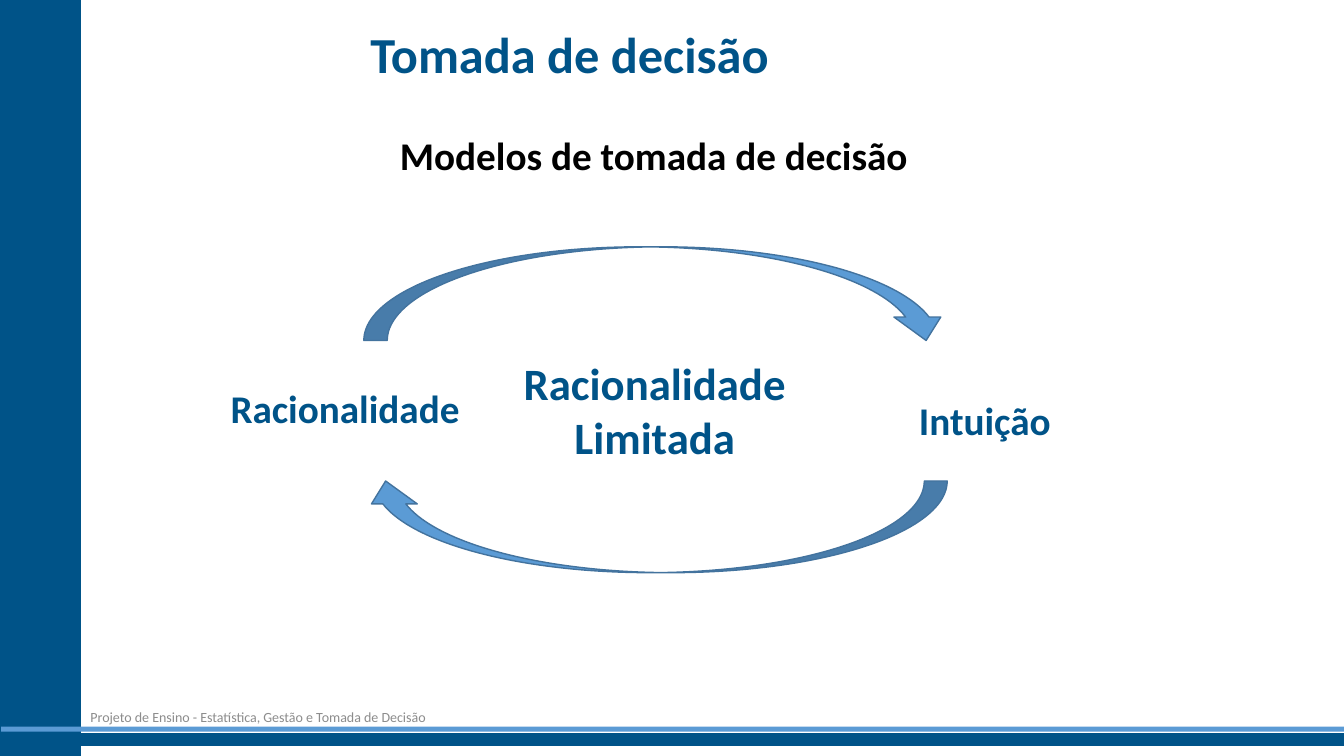
from dataclasses import dataclass

from pptx import Presentation
from pptx.dml.color import RGBColor
from pptx.enum.shapes import MSO_SHAPE as Preset
from pptx.enum.text import MSO_ANCHOR as Anchor, MSO_AUTO_SIZE as AutoSize, PP_ALIGN as Align
from pptx.util import Cm, Pt


@dataclass(frozen=True)
class Theme:
    font: str = "Calibri"
    navy: str = "005388"
    sky: str = "5B9BD5"
    arrow_edge: str = "43739E"
    black: str = "000000"
    gray: str = "8C8C8C"
    title: int = 36
    emphasis: int = 32
    label: int = 28
    footer: int = 10


class SlideBuilder:
    def __init__(self, slide, theme):
        self.slide = slide
        self.theme = theme

    def shape(self, preset, box, fill, edge=None, rotation=0):
        """Draw a preset shape; box is left, top, width, height in centimetres."""
        shape = self.slide.shapes.add_shape(preset, *map(Cm, box))
        shape.shadow.inherit = False
        shape.rotation = rotation
        shape.fill.solid()
        shape.fill.fore_color.rgb = RGBColor.from_string(fill)
        if edge:
            shape.line.color.rgb = RGBColor.from_string(edge)
            shape.line.width = Pt(1)
        else:
            shape.line.fill.background()

    def text(self, text, box, size, color, bold=True, align=Align.LEFT,
             anchor=Anchor.TOP, wrap=True, grow=False):
        """Write text, one paragraph per line; box is in centimetres."""
        frame = self.slide.shapes.add_textbox(*map(Cm, box)).text_frame
        frame.text = text
        frame.word_wrap = wrap
        frame.vertical_anchor = anchor
        frame.auto_size = AutoSize.SHAPE_TO_FIT_TEXT if grow else AutoSize.NONE
        for paragraph in frame.paragraphs:
            paragraph.alignment = align
            for run in paragraph.runs:
                run.font.name = self.theme.font
                run.font.size = Pt(size)
                run.font.bold = bold
                run.font.color.rgb = RGBColor.from_string(color)

    def label(self, text, box, color):
        self.text(text, box, self.theme.label, color, wrap=False, grow=True)

    def arrow(self, box, rotation=0):
        self.shape(Preset.CURVED_DOWN_ARROW, box, self.theme.sky,
                   self.theme.arrow_edge, rotation)


def main():
    presentation = Presentation()
    presentation.slide_width = Cm(33.87)
    presentation.slide_height = Cm(19.05)
    theme = Theme()
    builder = SlideBuilder(presentation.slides.add_slide(presentation.slide_layouts[6]), theme)

    builder.shape(Preset.RECTANGLE, (0, 0, 2.03, 19.05), theme.navy, theme.navy)
    builder.shape(Preset.RECTANGLE, (0, 18.49, 33.87, 0.3), theme.navy, theme.navy)
    builder.shape(Preset.RECTANGLE, (0.03, 18.31, 33.84, 0.13), theme.sky)
    builder.text("Projeto de Ensino - Estatística, Gestão e Tomada de Decisão",
                 (2.03, 17.55, 29.24, 1.02), theme.footer, theme.gray,
                 bold=False, anchor=Anchor.MIDDLE)

    builder.text("Tomada de decisão", (2.18, 0.41, 17.45, 1.88), theme.title,
                 theme.navy, align=Align.RIGHT, anchor=Anchor.MIDDLE)
    builder.label("Racionalidade", (5.56, 9.55, 6.35, 1.45), theme.navy)
    builder.label("Intuição", (22.91, 9.86, 3.86, 1.45), theme.navy)
    builder.label("Modelos de tomada de decisão", (9.83, 3.18, 13.44, 1.45), theme.black)

    builder.arrow((9.17, 6.22, 14.76, 2.36))
    builder.arrow((9.14, 12.12, 14.73, 2.31), rotation=180)
    builder.text("Racionalidade\nLimitada", (12.57, 8.84, 7.87, 3), theme.emphasis,
                 theme.navy, align=Align.CENTER, grow=True)

    presentation.save("out.pptx")


if __name__ == "__main__":
    main()
